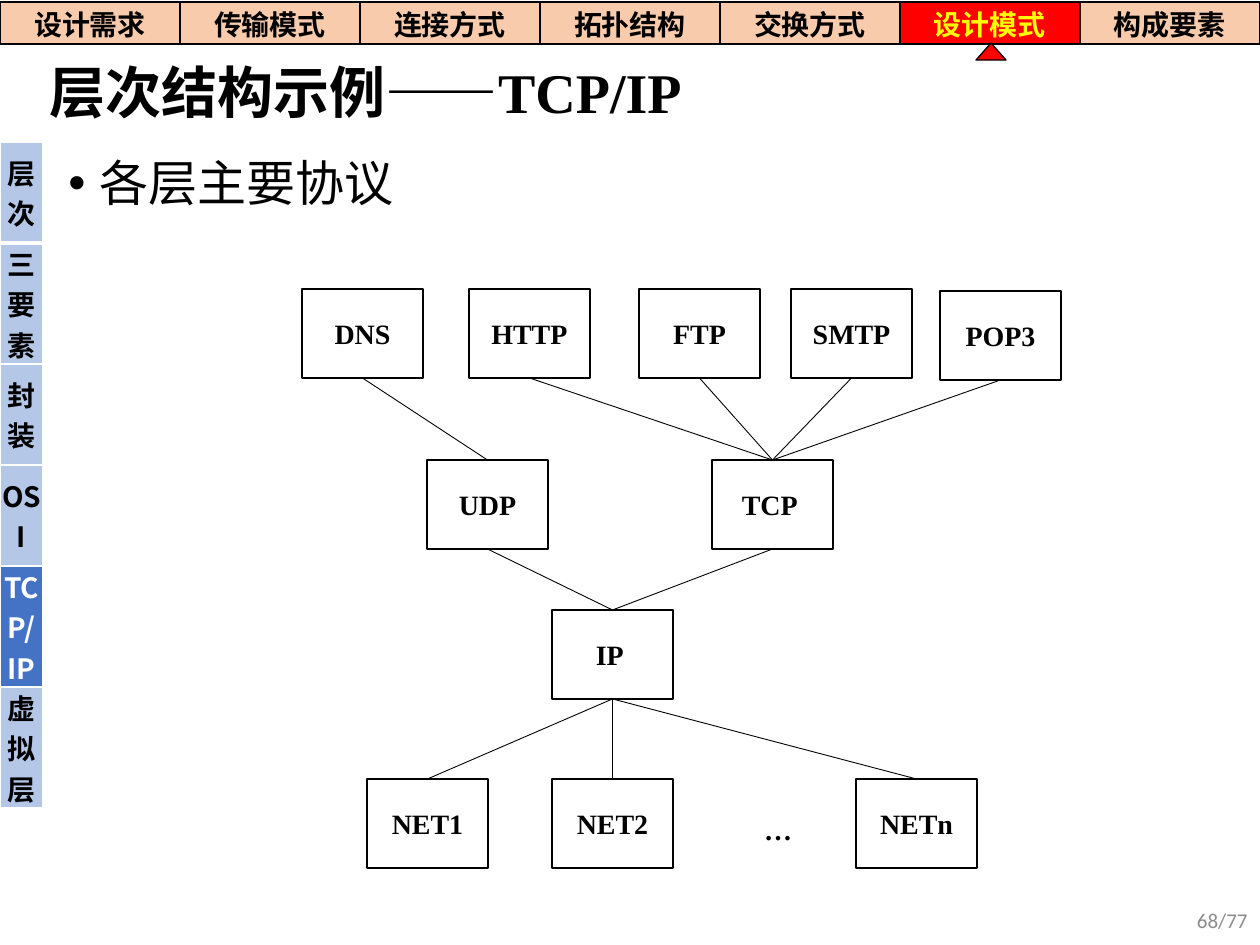
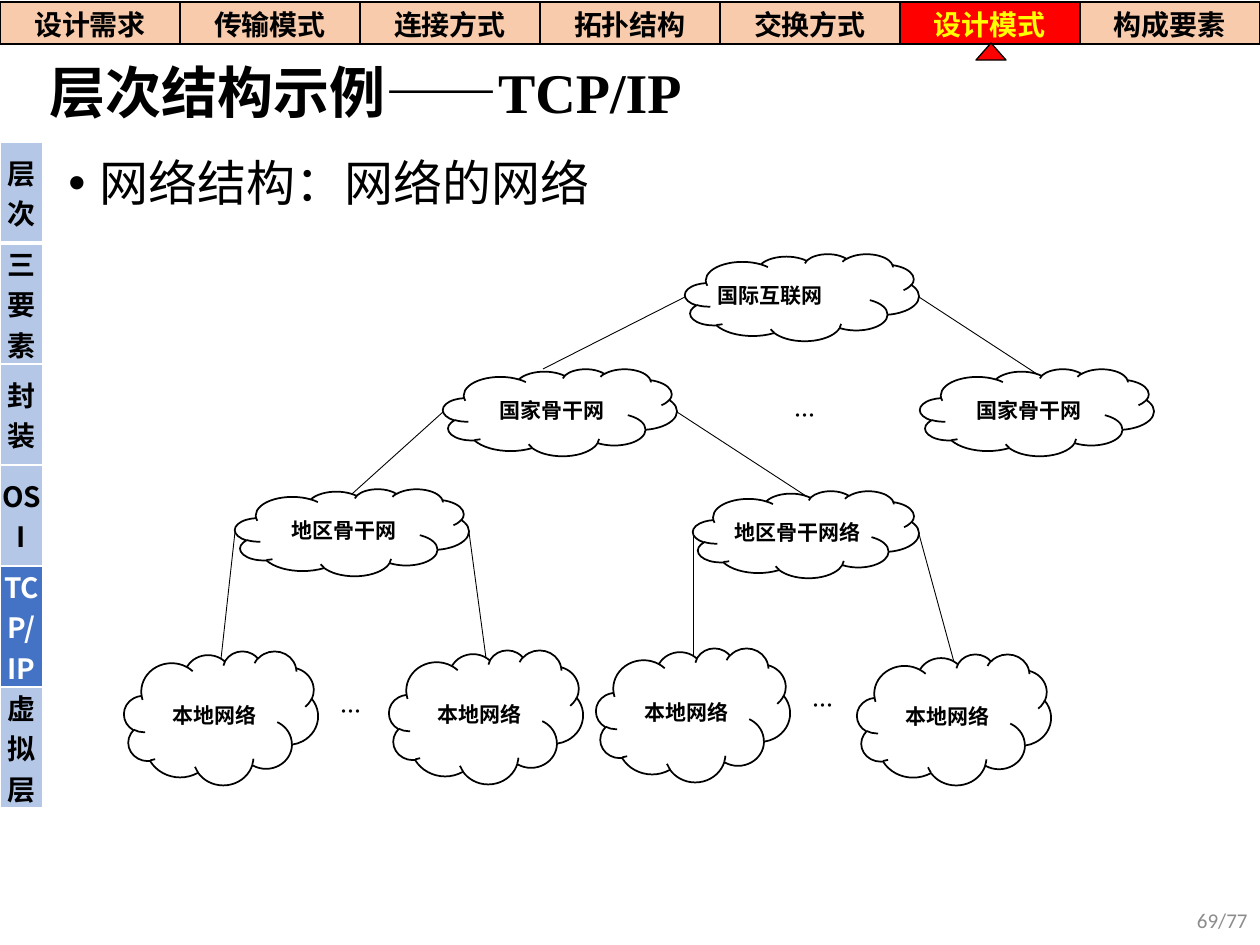
from dataclasses import dataclass

from lxml import etree
from pptx import Presentation
from pptx.dml.color import RGBColor
from pptx.enum.shapes import MSO_CONNECTOR, MSO_SHAPE
from pptx.enum.text import MSO_ANCHOR, MSO_AUTO_SIZE, PP_ALIGN
from pptx.oxml.ns import qn
from pptx.util import Emu, Pt

STRAIGHT = MSO_CONNECTOR.STRAIGHT
RECTANGLE, CLOUD, POINTER = MSO_SHAPE.RECTANGLE, MSO_SHAPE.CLOUD, MSO_SHAPE.FLOWCHART_EXTRACT
TOP, MIDDLE = MSO_ANCHOR.TOP, MSO_ANCHOR.MIDDLE
NO_AUTOFIT = MSO_AUTO_SIZE.NONE
LEFT, CENTER, RIGHT, JUSTIFY = PP_ALIGN.LEFT, PP_ALIGN.CENTER, PP_ALIGN.RIGHT, PP_ALIGN.JUSTIFY
TITLE_ONLY = 5
PX = 914400 / 126
SLIDE_WIDTH, SLIDE_HEIGHT = 1260, 945


@dataclass(frozen=True)
class Theme:
    serif: str = "Times New Roman"
    chinese: str = "Noto Sans CJK SC"
    number_font: str = "Calibri"
    ink: str = "000000"
    paper: str = "FFFFFF"
    chapter: str = "F8CBAD"
    chapter_active: str = "FF0000"
    chapter_active_text: str = "FFFF00"
    section: str = "B4C7E7"
    section_active: str = "4472C4"
    page_number: str = "8C8C8C"
    title_size: int = 32
    body_size: int = 28
    label_size: int = 16
    small_size: int = 12
    outline: float = 1
    thin: float = 0.5


THEME = Theme()
TITLE = "层次结构示例——TCP/IP"
CHAPTERS = ["设计需求", "传输模式", "连接方式", "拓扑结构", "交换方式", "设计模式", "构成要素"]
ACTIVE_CHAPTER = "设计模式"
TWO_LINES, THREE_LINES = 101, 121
SECTION_HEIGHTS = {
    "层次": TWO_LINES, "三要素": THREE_LINES, "封装": TWO_LINES,
    "OSI": TWO_LINES, "TCP/IP": THREE_LINES, "虚拟层": THREE_LINES,
}
ACTIVE_SECTION = "TCP/IP"
PAGE_COUNT = 77

BOX_WIDTH, BOX_HEIGHT = 121, 89
PROTOCOL_BOXES = {
    "DNS": (302, 289), "HTTP": (469, 289), "FTP": (639, 289),
    "SMTP": (791, 289), "POP3": (940, 291),
    "UDP": (427, 460), "TCP ": (712, 460), "IP ": (552, 610),
    "NET1": (367, 779), "NET2": (552, 779), "NETn": (856, 779),
}
PROTOCOL_LINKS = [
    ("DNS", "UDP"), ("HTTP", "TCP "), ("FTP", "TCP "), ("SMTP", "TCP "), ("POP3", "TCP "),
    ("UDP", "IP "), ("TCP ", "IP "), ("IP ", "NET1"), ("IP ", "NET2"), ("IP ", "NETn"),
]

INTERNET = (685, 254, 234, 87)
NATION_1, NATION_2 = (443, 369, 234, 87), (920, 369, 234, 87)
REGION_1, REGION_2 = (235, 489, 234, 87), (693, 491, 226, 87)
LOCAL_1, LOCAL_2 = (124, 651, 194, 134), (389, 650, 194, 134)
LOCAL_3, LOCAL_4 = (596, 648, 194, 134), (857, 654, 194, 131)
NETWORK_CLOUDS = [
    (INTERNET, "国际互联网"),
    (NATION_1, "国家骨干网"), (NATION_2, "国家骨干网"),
    (REGION_1, "地区骨干网"), (REGION_2, "地区骨干网络"),
    (LOCAL_1, "本地网络"), (LOCAL_2, "本地网络"), (LOCAL_3, "本地网络"), (LOCAL_4, "本地网络"),
]
NETWORK_TREE = [
    (INTERNET, NATION_1, NATION_2), (NATION_1, REGION_1, REGION_2),
    (REGION_1, LOCAL_1, LOCAL_2), (REGION_2, LOCAL_3, LOCAL_4),
]
INTERNET_LEFT_END = (543, 369)
NETWORK_GAPS = [(732, 372, 146, 87), (772, 662, 101, 87), (301, 668, 101, 87)]


def px(*lengths):
    return [Emu(round(length * PX)) for length in lengths]


def color(value):
    return RGBColor.from_string(value)


def pad(target, margin, anchor=MIDDLE):
    """Set equal insets and the anchor of a text frame or a table cell."""
    target.margin_left = target.margin_right = target.margin_top = target.margin_bottom = margin
    target.vertical_anchor = anchor


def write_text(text_frame, text, size=THEME.label_size, font=THEME.chinese, ink=THEME.ink,
               bold=False, align=CENTER, line_spacing=None, space_before=None):
    text_frame.word_wrap = True
    paragraph = text_frame.paragraphs[0]
    paragraph.alignment = align
    if line_spacing:
        paragraph.line_spacing = line_spacing
    if space_before:
        paragraph.space_before = Pt(space_before)
    run = paragraph.add_run()
    run.text = text
    run.font.size, run.font.bold, run.font.name = Pt(size), bold, font
    run.font.color.rgb = color(ink)
    east_asian = etree.SubElement(run._r.get_or_add_rPr(), qn("a:ea"))
    east_asian.set("typeface", THEME.chinese)
    return paragraph


def add_bullet(paragraph, indent):
    properties = paragraph._p.get_or_add_pPr()
    properties.set("marL", str(indent))
    properties.set("indent", str(-indent))
    etree.SubElement(properties, qn("a:buFont")).set("typeface", "Arial")
    etree.SubElement(properties, qn("a:buChar")).set("char", "•")


def set_borders(cell, line_color, bottom_width=1):
    properties = cell._tc.get_or_add_tcPr()
    widths = {"a:lnL": 1, "a:lnR": 1, "a:lnT": 1, "a:lnB": bottom_width}
    for position, (side, width) in enumerate(widths.items()):
        border = etree.Element(qn(side), w=str(Pt(width)))
        fill = etree.SubElement(border, qn("a:solidFill"))
        etree.SubElement(fill, qn("a:srgbClr")).set("val", line_color)
        properties.insert(position, border)


class SlideBuilder:
    def __init__(self, presentation, theme):
        self.presentation = presentation
        self.theme = theme
        self.slide = None

    def start(self, page, bullet):
        """Add a slide with its title, bullet, navigation and page number."""
        theme = self.theme
        self.slide = self.presentation.slides.add_slide(
            self.presentation.slide_layouts[TITLE_ONLY])
        self.title(TITLE)
        self.bullet(bullet)
        self.chapter_bar()
        self.section_bar()
        self.text((976, 895, 284, 50), f"{page}/{PAGE_COUNT}", margin=91440,
                  size=theme.small_size, font=theme.number_font,
                  ink=theme.page_number, align=RIGHT)

    def title(self, text):
        title = self.slide.shapes.title
        title.left, title.top, title.width, title.height = px(37, 49, 1193, 93)
        title.text_frame.auto_size = NO_AUTOFIT
        title.text_frame.vertical_anchor = MIDDLE
        write_text(title.text_frame, text, size=self.theme.title_size, font=self.theme.serif,
                   bold=True, align=JUSTIFY, line_spacing=0.9, space_before=6)

    def bullet(self, text):
        box = self.slide.shapes.add_textbox(*px(56, 153, 1173, 745))
        box.text_frame.vertical_anchor = TOP
        paragraph = write_text(box.text_frame, text, size=self.theme.body_size,
                               font=self.theme.serif, align=LEFT,
                               line_spacing=0.9, space_before=10)
        add_bullet(paragraph, Pt(18))

    def text(self, frame, text, margin=0, **text_format):
        box = self.slide.shapes.add_textbox(*px(*frame))
        pad(box.text_frame, margin)
        write_text(box.text_frame, text, **text_format)

    def table(self, frame, rows, columns):
        table = self.slide.shapes.add_table(rows, columns, *px(*frame)).table
        table.first_row = table.horz_banding = False
        return table

    def cell(self, cell, text, fill, ink, border, bottom_width=1):
        pad(cell, 0)
        cell.fill.solid()
        cell.fill.fore_color.rgb = color(fill)
        set_borders(cell, border, bottom_width)
        write_text(cell.text_frame, text, ink=ink, bold=True)

    def chapter_bar(self):
        theme = self.theme
        table = self.table((0, 2, SLIDE_WIDTH, 42), 1, len(CHAPTERS))
        for column, chapter in enumerate(CHAPTERS):
            active = chapter == ACTIVE_CHAPTER
            self.cell(table.cell(0, column), chapter,
                      theme.chapter_active if active else theme.chapter,
                      theme.chapter_active_text if active else theme.ink, theme.ink)
        self.shape(POINTER, (976, 43, 30, 17), fill=theme.chapter_active, line_width=0.75)

    def section_bar(self):
        theme = self.theme
        total_height = sum(SECTION_HEIGHTS.values())
        table = self.table((0, 142, 43, total_height), len(SECTION_HEIGHTS), 1)
        for row, (section, height) in enumerate(SECTION_HEIGHTS.items()):
            active = section == ACTIVE_SECTION
            table.rows[row].height, = px(height)
            self.cell(table.cell(row, 0), section,
                      theme.section_active if active else theme.section,
                      theme.paper if active else theme.ink, theme.paper,
                      bottom_width=3 if row == 0 else 1)

    def shape(self, kind, frame, text=None, fill=None, line_width=THEME.outline, **text_format):
        shape = self.slide.shapes.add_shape(kind, *px(*frame))
        shape.shadow.inherit = False
        if fill:
            shape.fill.solid()
            shape.fill.fore_color.rgb = color(fill)
        else:
            shape.fill.background()
        shape.line.color.rgb = color(self.theme.ink)
        shape.line.width = Pt(line_width)
        if text:
            pad(shape.text_frame, 0)
            write_text(shape.text_frame, text, bold=True, **text_format)
        return shape

    def line(self, start=(0, 0), end=(0, 0)):
        connector = self.slide.shapes.add_connector(STRAIGHT, *px(*start, *end))
        connector.line.color.rgb = color(self.theme.ink)
        connector.line.width = Pt(self.theme.thin)
        etree.SubElement(connector._element.spPr, qn("a:effectLst"))
        return connector

    def join_boxes(self, upper, lower):
        connector = self.line()
        connector.begin_connect(upper, 2)
        connector.end_connect(lower, 0)


def cloud_top(frame):
    """Return the point where a line meets the upper edge of a cloud."""
    left, top, width, height = frame
    return left + width // 2, top + round(height * 0.06)


def build_protocol_slide(builder):
    builder.start(68, "各层主要协议")
    serif = builder.theme.serif
    boxes = {
        name: builder.shape(RECTANGLE, (*corner, BOX_WIDTH, BOX_HEIGHT), name, font=serif)
        for name, corner in PROTOCOL_BOXES.items()
    }
    for upper, lower in PROTOCOL_LINKS:
        builder.join_boxes(boxes[upper], boxes[lower])
    builder.text((721, 785, BOX_WIDTH, BOX_HEIGHT), "… ", font=serif, bold=True)


def build_network_slide(builder):
    builder.start(69, "网络结构：网络的网络")
    size = builder.theme.small_size
    for frame, name in NETWORK_CLOUDS:
        builder.shape(CLOUD, frame, name, size=size,
                      align=JUSTIFY if frame == INTERNET else CENTER)
    for parent, left_child, right_child in NETWORK_TREE:
        left, top, width, height = parent
        middle = top + height // 2
        left_end = INTERNET_LEFT_END if parent == INTERNET else cloud_top(left_child)
        builder.line((left, middle), left_end)
        builder.line((left + width, middle), cloud_top(right_child))
    for frame in NETWORK_GAPS:
        builder.text(frame, "…", size=size, bold=True)


def main():
    presentation = Presentation()
    presentation.slide_width, presentation.slide_height = px(SLIDE_WIDTH, SLIDE_HEIGHT)
    builder = SlideBuilder(presentation, THEME)
    build_protocol_slide(builder)
    build_network_slide(builder)
    presentation.save("out.pptx")


if __name__ == "__main__":
    main()
